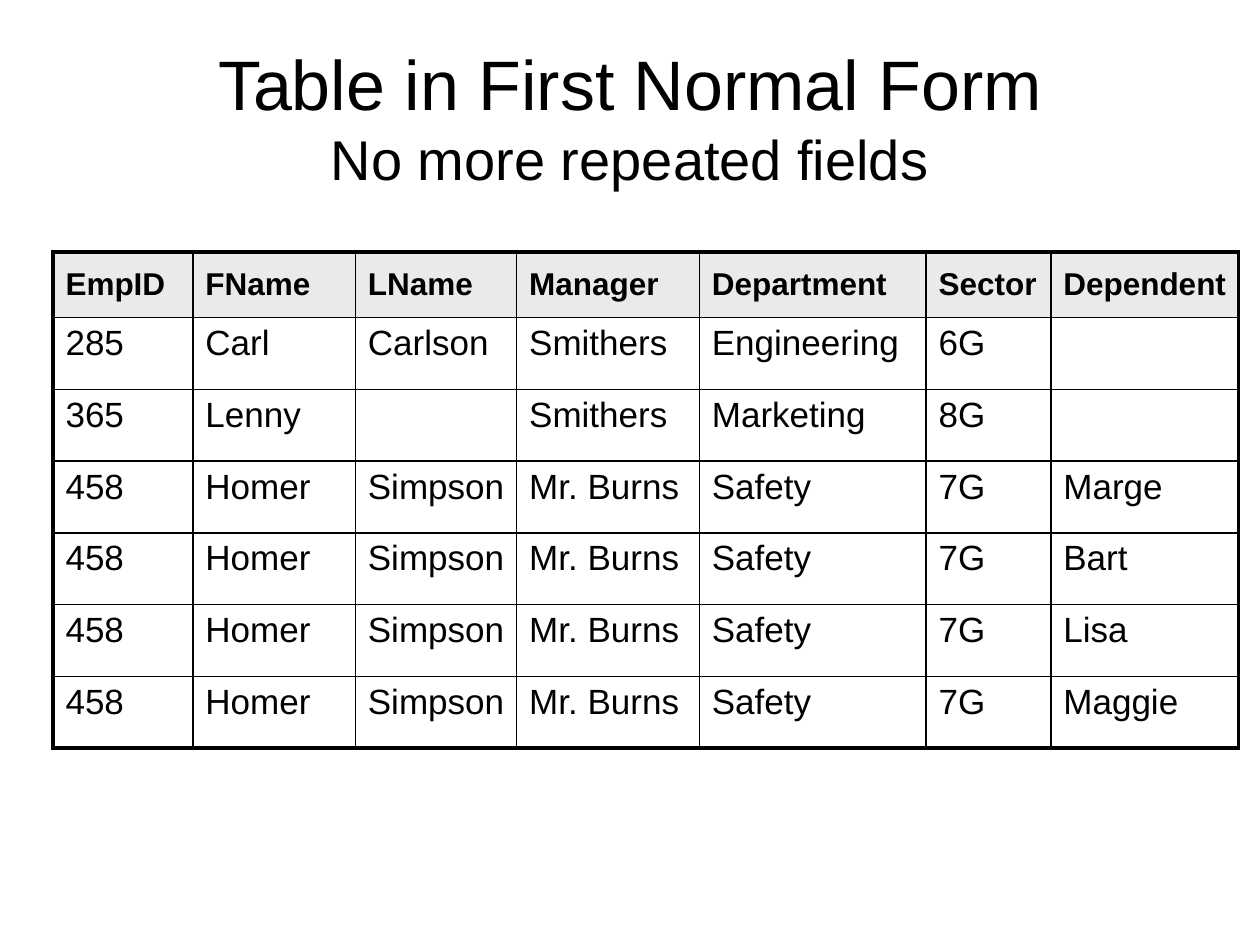
from dataclasses import dataclass

from lxml import etree
from pptx import Presentation
from pptx.dml.color import RGBColor
from pptx.enum.text import MSO_ANCHOR, PP_ALIGN
from pptx.oxml.ns import qn
from pptx.util import Inches, Pt

CENTER = PP_ALIGN.CENTER
MIDDLE = MSO_ANCHOR.MIDDLE
TOP = MSO_ANCHOR.TOP
TITLE_ONLY = 5


@dataclass(frozen=True)
class Theme:
    font: str = "Arial"
    ink: str = "000000"
    header_fill: str = "EAEAEA"
    title_size: int = 40
    subtitle_size: int = 32
    header_size: int = 18
    body_size: int = 20
    inner_line: float = 1
    outer_line: float = 2.25
    space_before: float = 0.2  # share of the type size
    cell_margin_right: float = 0.05  # keeps the longest words on one line


HEADERS = ["EmpID", "FName", "LName", "Manager", "Department", "Sector", "Dependent"]
HOMER = ["458", "Homer", "Simpson", "Mr. Burns", "Safety", "7G"]
EMPLOYEES = [
    ["285", "Carl", "Carlson", "Smithers", "Engineering", "6G", ""],
    ["365", "Lenny", "", "Smithers", "Marketing", "8G", ""],
    *[HOMER + [dependent] for dependent in ("Marge", "Bart", "Lisa", "Maggie")],
]
COLUMN_WIDTHS = [1.11, 1.29, 1.28, 1.45, 1.8, 0.99, 1.49]
ROW_HEIGHTS = [0.52] + [0.57] * len(EMPLOYEES)


class SlideBuilder:
    def __init__(self, slide, theme):
        self.slide = slide
        self.theme = theme

    def style_run(self, run, size, bold=False):
        run.font.name = self.theme.font
        run.font.size = Pt(size)
        run.font.bold = bold
        run.font.color.rgb = RGBColor.from_string(self.theme.ink)

    def title(self, heading, subheading, left, top, width, height):
        title = self.slide.shapes.title
        title.left, title.top = Inches(left), Inches(top)
        title.width, title.height = Inches(width), Inches(height)
        frame = title.text_frame
        frame.text = f"{heading}\v{subheading}"
        frame.vertical_anchor = MIDDLE
        paragraph = frame.paragraphs[0]
        paragraph.alignment = CENTER
        sizes = (self.theme.title_size, self.theme.subtitle_size)
        for run, size in zip(paragraph.runs, sizes):
            self.style_run(run, size)
        line_break = paragraph._p.find(qn("a:br"))
        etree.SubElement(line_break, qn("a:rPr"), sz=str(self.theme.title_size * 100))

    def borders(self, cell, outer_sides):
        """Draw all four cell borders, heavier on the sides at the table's edge."""
        properties = cell._tc.get_or_add_tcPr()
        for side in "LRTB":
            weight = self.theme.outer_line if side in outer_sides else self.theme.inner_line
            line = etree.SubElement(properties, qn(f"a:ln{side}"), w=str(Pt(weight)))
            fill = etree.SubElement(line, qn("a:solidFill"))
            etree.SubElement(fill, qn("a:srgbClr"), val=self.theme.ink)

    def cell(self, cell, text, is_header, outer_sides):
        size = self.theme.header_size if is_header else self.theme.body_size
        cell.text_frame.text = text
        cell.vertical_anchor = MIDDLE if is_header else TOP
        cell.margin_right = Inches(self.theme.cell_margin_right)
        paragraph = cell.text_frame.paragraphs[0]
        paragraph.space_before = Pt(size * self.theme.space_before)
        for run in paragraph.runs:
            self.style_run(run, size, bold=is_header)
        self.borders(cell, outer_sides)
        if is_header:
            cell.fill.solid()
            cell.fill.fore_color.rgb = RGBColor.from_string(self.theme.header_fill)
        else:
            cell.fill.background()

    def table(self, rows, left, top, widths, heights):
        table = self.slide.shapes.add_table(
            len(rows), len(widths), Inches(left), Inches(top),
            Inches(sum(widths)), Inches(sum(heights))).table
        table.horz_banding = False
        for column, width in zip(table.columns, widths):
            column.width = Inches(width)
        for row, height in zip(table.rows, heights):
            row.height = Inches(height)
        last_row, last_column = len(rows) - 1, len(widths) - 1
        for r, values in enumerate(rows):
            for c, text in enumerate(values):
                edges = {"L": c == 0, "R": c == last_column, "T": r == 0, "B": r == last_row}
                outer_sides = [side for side, at_edge in edges.items() if at_edge]
                self.cell(table.cell(r, c), text, r == 0, outer_sides)


def main():
    presentation = Presentation()
    presentation.slide_width, presentation.slide_height = Inches(10), Inches(7.5)
    slide = presentation.slides.add_slide(presentation.slide_layouts[TITLE_ONLY])
    builder = SlideBuilder(slide, Theme())
    builder.title("Table in First Normal Form", "No more repeated fields", 0.5, 0.3, 9, 1.25)
    builder.table([HEADERS] + EMPLOYEES, 0.42, 2, COLUMN_WIDTHS, ROW_HEIGHTS)
    presentation.save("out.pptx")


if __name__ == "__main__":
    main()
